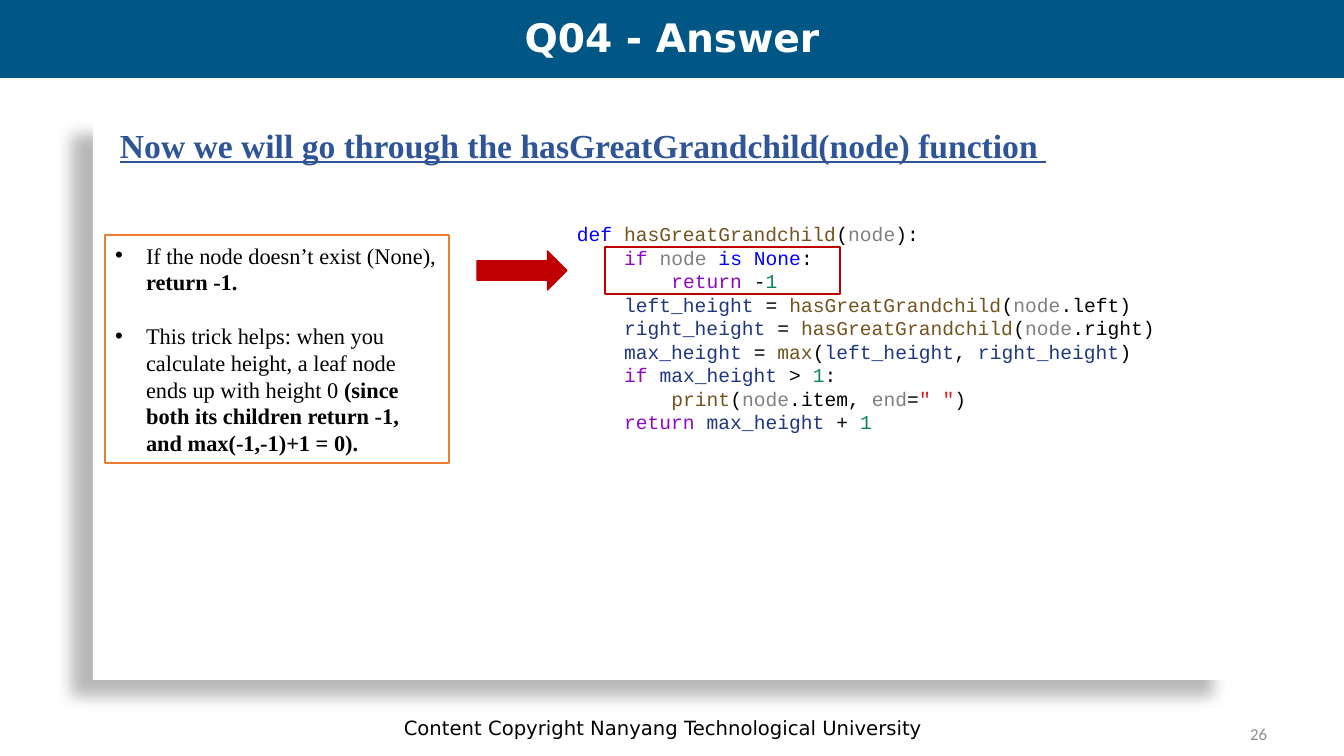
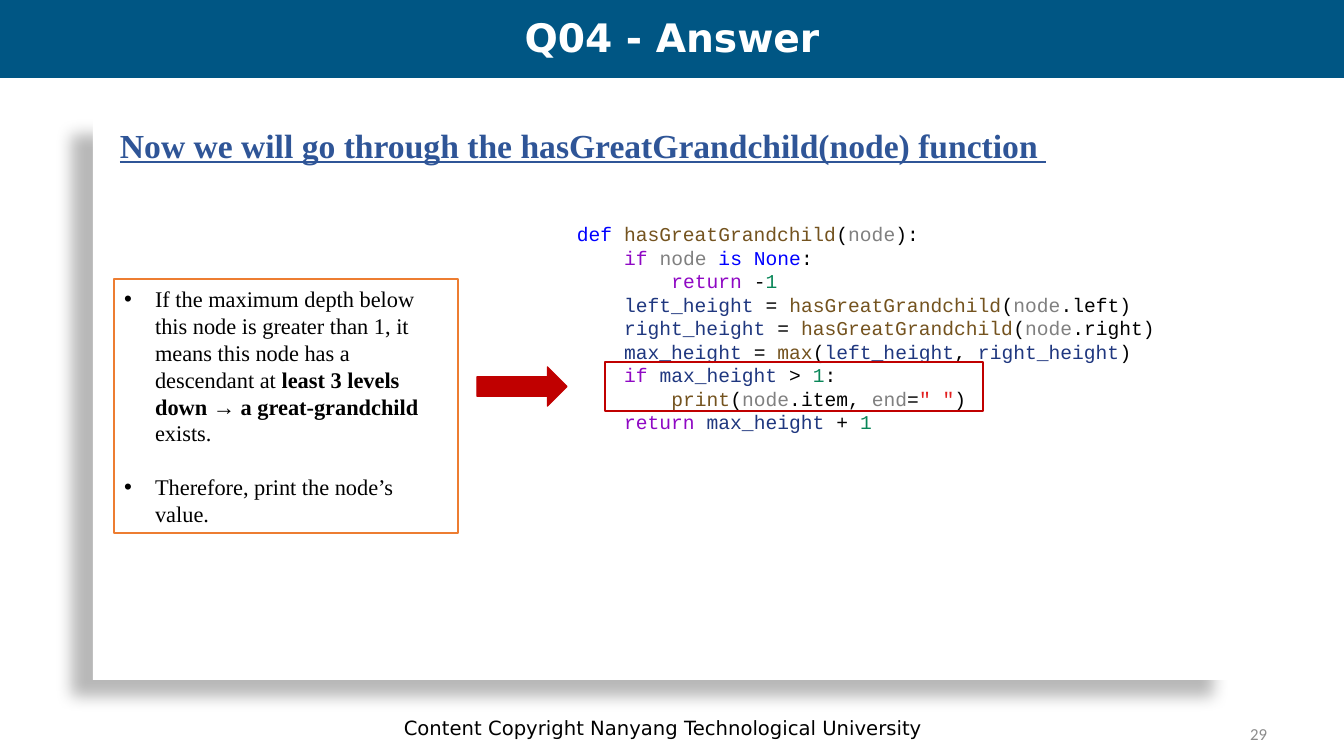
from lxml.etree import SubElement
from pptx import Presentation
from pptx.dml.color import RGBColor
from pptx.enum.shapes import MSO_SHAPE
from pptx.enum.text import MSO_ANCHOR, MSO_AUTO_SIZE, PP_ALIGN
from pptx.oxml.ns import qn
from pptx.util import Emu, Pt

BLACK, WHITE, BAND = "000000", "FFFFFF", "005684"
HEADING, ORANGE, RED, GREY = "2F5597", "ED7D31", "C00000", "8C8C8C"
SANS, SERIF, MONO = "DejaVu Sans", "Times New Roman", "Courier New"

SYNTAX = {
    "0000FF": ("def", "is None"),
    "8F08C4": ("if", "return"),
    "74531F": ("hasGreatGrandchild", "max", "print"),
    "808080": ("node", "end"),
    "1F377F": ("left_height", "right_height", "max_height"),
    "098658": ("1",),
    "E21F1F": ('" "',),
}
TOKEN_COLORS = {token: color for color, tokens in SYNTAX.items() for token in tokens}

CODE = """def |hasGreatGrandchild|(|node|):
    |if |node |is None|:
        |return| -|1
    |left_height| = |hasGreatGrandchild|(|node|.left)
    |right_height| = |hasGreatGrandchild|(|node|.right)
    |max_height| = |max|(|left_height|, |right_height|)
    |if |max_height| > |1|:
        |print|(|node|.item, |end|=|" "|)
    |return |max_height| + |1"""

STEPS = [
    {
        "number": "26",
        "note_box": (105, 235, 344, 228),
        "highlight_box": (605, 247, 235, 47),
        "notes": [
            [("If the node doesn’t exist (None), ", False), ("return -1.", True)],
            [("This trick helps: when you calculate height, a leaf node "
              "ends up with height 0 ", False),
             ("(since both its children return -1, and max(-1,-1)+1 = 0).", True)],
        ],
    },
    {
        "number": "29",
        "note_box": (114, 279, 344, 254),
        "highlight_box": (605, 362, 378, 49),
        "notes": [
            [("If the maximum depth below this node is greater than 1, it means "
              "this node has a descendant at ", False),
             ("least 3 levels down → a great-grandchild ", True), ("exists.", False)],
            [("Therefore, print the node’s value.", False)],
        ],
    },
]


def rgb(value):
    """Turn a hex string into a colour."""
    return RGBColor.from_string(value)


def px(value):
    """Turn pixels into EMU."""
    return Emu(round(value * 914400 / 100.8))


class Deck:
    """Hold the shared style and the current slide."""

    def __init__(self):
        """Open a wide presentation whose layout will hold the common parts."""
        self.prs = Presentation()
        self.prs.slide_width, self.prs.slide_height = px(1344), px(756)
        self.layout = self.prs.slide_layouts[1]
        self.slide = None

    def add_slide(self, title):
        """Start a slide; the first one also supplies the layout's common parts."""
        first = self.slide is None
        self.slide = self.prs.slides.add_slide(self.layout)
        if first:
            self.decorate_layout()
        s = self.slide.shapes.title
        self.place(s, (0, 4, 1344, 72))
        tf = self.frame(s, MSO_ANCHOR.MIDDLE)
        p = tf.paragraphs[0]
        p.alignment, p.line_spacing = PP_ALIGN.CENTER, 0.9
        self.run(p, title, 28, SANS, WHITE, bold=True)

    def decorate_layout(self):
        """Move the panel, band and copyright line into the layout."""
        panel = self.shape(MSO_SHAPE.RECTANGLE, (93, 118, 1142, 562), fill=WHITE)
        self.cast_shadow(panel)
        band = self.shape(MSO_SHAPE.RECTANGLE, (0, 0, 1344, 78), fill=BAND)
        footer = self.text((180, 708, 966, 40), "Content Copyright Nanyang Technological University",
                           14, SANS, BLACK, align=PP_ALIGN.CENTER, anchor=MSO_ANCHOR.MIDDLE)
        for number, s in enumerate((panel, band, footer), 20):
            s._element.nvSpPr.cNvPr.set("id", str(number))
            self.layout.shapes._spTree.append(s._element)

    def cast_shadow(self, s):
        """Give a shape a soft shadow to the lower left."""
        effects = s._element.spPr.find(qn("a:effectLst"))
        shadow = SubElement(effects, qn("a:outerShdw"), blurRad=str(Pt(11.8)),
                            dist=str(Pt(19.7)), dir=str(141 * 60000), rotWithShape="0")
        color = SubElement(shadow, qn("a:srgbClr"), val=BLACK)
        SubElement(color, qn("a:alpha"), val="28000")

    def place(self, s, box):
        """Move and size a shape."""
        s.left, s.top, s.width, s.height = map(px, box)

    def frame(self, s, anchor):
        """Prepare the text frame of a shape."""
        tf = s.text_frame
        tf.word_wrap, tf.auto_size = True, MSO_AUTO_SIZE.NONE
        tf.vertical_anchor = anchor
        return tf

    def run(self, p, text, size, font, color, bold=False, underline=False):
        """Add one formatted run."""
        r = p.add_run()
        r.text = text
        r.font.size, r.font.name, r.font.color.rgb = Pt(size), font, rgb(color)
        r.font.bold, r.font.underline = bold, underline

    def shape(self, kind, box, fill=None, line=None):
        """Add a flat preset shape."""
        s = self.slide.shapes.add_shape(kind, *map(px, box))
        s.shadow.inherit = False
        self.paint(s, fill, line)
        return s

    def paint(self, s, fill=None, line=None):
        """Set the fill and the one-point outline."""
        if fill:
            s.fill.solid()
            s.fill.fore_color.rgb = rgb(fill)
        else:
            s.fill.background()
        if line:
            s.line.color.rgb, s.line.width = rgb(line), Pt(1)
        else:
            s.line.fill.background()

    def text(self, box, text, size, font, color, align=PP_ALIGN.LEFT,
             anchor=MSO_ANCHOR.TOP, bold=False, underline=False):
        """Add a one-run text box."""
        s = self.slide.shapes.add_textbox(*map(px, box))
        p = self.frame(s, anchor).paragraphs[0]
        p.alignment = align
        self.run(p, text, size, font, color, bold, underline)
        return s

    def code(self, box, source):
        """Add a listing coloured token by token."""
        s = self.slide.shapes.add_textbox(*map(px, box))
        tf = self.frame(s, MSO_ANCHOR.TOP)
        for i, line in enumerate(source.splitlines()):
            p = tf.add_paragraph() if i else tf.paragraphs[0]
            for token in line.split("|"):
                self.run(p, token, 14, MONO, TOKEN_COLORS.get(token.strip(), BLACK))

    def notes(self, box, items):
        """Fill the body placeholder with an outlined bullet list."""
        s = self.slide.placeholders[1]
        self.place(s, box)
        self.paint(s, line=ORANGE)
        tf = self.frame(s, MSO_ANCHOR.MIDDLE)
        for i, item in enumerate(items):
            p = tf.add_paragraph() if i else tf.paragraphs[0]
            pPr = p._p.get_or_add_pPr()
            pPr.set("marL", str(px(31)))
            pPr.set("indent", str(px(-31)))
            SubElement(pPr, qn("a:buChar"), char="•")
            p.space_before = Pt(19 if i else 0)
            for text, bold in item:
                self.run(p, text, 16, SERIF, BLACK, bold)

    def highlight(self, box):
        """Frame code lines and point an arrow at their middle."""
        top, height = box[1], box[3]
        arrow_height = 39
        self.shape(MSO_SHAPE.RIGHT_ARROW,
                   (477, top + (height - arrow_height) / 2, 90, arrow_height), RED, RED)
        self.shape(MSO_SHAPE.RECTANGLE, box, line=RED)


def main():
    """Build the walkthrough slides."""
    deck = Deck()
    for step in STEPS:
        deck.add_slide("Q04 - Answer")
        deck.text((110, 120, 1092, 50), "Now we will go through the hasGreatGrandchild(node) function ",
                  24, SERIF, HEADING, bold=True, underline=True)
        deck.code((567, 217, 672, 224), CODE)
        deck.notes(step["note_box"], step["notes"])
        deck.highlight(step["highlight_box"])
        deck.text((964, 714, 313, 40), step["number"], 12, "Calibri", GREY,
                  align=PP_ALIGN.RIGHT, anchor=MSO_ANCHOR.MIDDLE)
    deck.prs.save("out.pptx")


if __name__ == "__main__":
    main()
